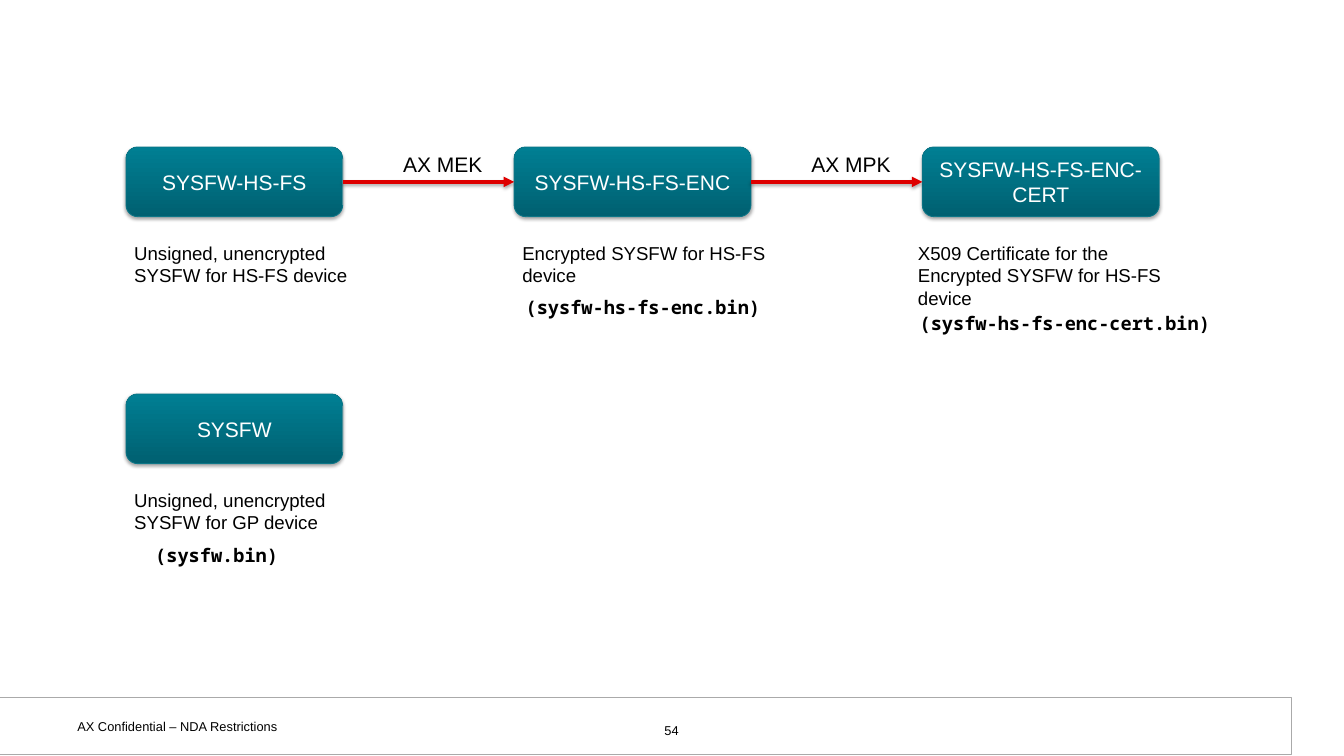
from itertools import pairwise

from pptx import Presentation
from pptx.dml.color import RGBColor
from pptx.enum.shapes import MSO_CONNECTOR, MSO_SHAPE
from pptx.enum.text import MSO_ANCHOR, PP_ALIGN
from pptx.oxml import parse_xml
from pptx.oxml.ns import nsdecls
from pptx.util import Inches, Pt

BLACK = RGBColor(0x00, 0x00, 0x00)
WHITE = RGBColor(0xFF, 0xFF, 0xFF)
TEAL_DARK = RGBColor(0x00, 0x60, 0x71)
TEAL = RGBColor(0x00, 0x7F, 0x93)
TEAL_EDGE = RGBColor(0x0D, 0x76, 0x87)
RED = RGBColor(0xDE, 0x00, 0x00)
GREY = RGBColor(0xAA, 0xAA, 0xAA)

# name, width, caption, caption width, caption shift,
# file name, file shift right, file distance below the stage top
SIGNED_STAGES = [
    ("SYSFW-HS-FS", 2.58, "Unsigned, unencrypted SYSFW for HS-FS device",
     2.83, 0, None, 0, 0),
    ("SYSFW-HS-FS-ENC", 2.82, "Encrypted SYSFW for HS-FS device",
     3.13, 0, "(sysfw-hs-fs-enc.bin)", 0.04, 1.72),
    ("SYSFW-HS-FS-ENC-CERT", 2.82,
     "X509 Certificate for the Encrypted SYSFW for HS-FS device",
     3.13, -0.15, "(sysfw-hs-fs-enc-cert.bin)", -0.13, 1.91),
]
GENERAL_STAGES = [
    ("SYSFW", 2.58, "Unsigned, unencrypted SYSFW for GP device",
     2.83, 0, "(sysfw.bin)", 0.25, 1.73),
]
ROWS = [(1.75, SIGNED_STAGES, ["AX MEK", "AX MPK"]), (4.69, GENERAL_STAGES, [])]
FOOTER = "AX Confidential – NDA Restrictions"
PAGE_NUMBER = "54"

LEFT, GAP, STAGE_HEIGHT = 1.5, 2.04, 0.83
CAPTION_DROP, KEY_SHIFT = 1.08, 0.62

NAME = {"size": Pt(18), "name": "Arial", "color": WHITE}
KEY = {"size": Pt(18), "name": "Arial", "color": BLACK}
CAPTION = {"size": Pt(16), "name": "Arial", "color": BLACK}
FILE = {"size": Pt(16), "name": "Noto Sans Mono", "color": BLACK, "bold": True}
SMALL = {"size": Pt(11), "name": "Arial", "color": BLACK}


def write(box, text, style, align=PP_ALIGN.LEFT, margins=(0.1, 0.05)):
    frame = box.text_frame
    frame.word_wrap = True
    frame.margin_left = frame.margin_right = Inches(margins[0])
    frame.margin_top = frame.margin_bottom = Inches(margins[1])
    para = frame.paragraphs[0]
    para.alignment = align
    span = para.add_run()
    span.text = text
    for key, value in style.items():
        if key == "color":
            span.font.color.rgb = value
        else:
            setattr(span.font, key, value)


def add_text(page, place, text, style, **layout):
    box = page.shapes.add_textbox(*map(Inches, place))
    write(box, text, style, **layout)


def cast_shadow(shape):
    shape._element.spPr.append(parse_xml(
        f'<a:effectLst {nsdecls("a")}>'
        f'<a:outerShdw blurRad="{Pt(3.1)}" dist="{Pt(1.8)}" dir="5400000" rotWithShape="0">'
        '<a:srgbClr val="000000"><a:alpha val="35000"/></a:srgbClr>'
        '</a:outerShdw></a:effectLst>'))


def add_stage(page, left, top, width, name):
    stage = page.shapes.add_shape(
        MSO_SHAPE.ROUNDED_RECTANGLE, *map(Inches, (left, top, width, STAGE_HEIGHT)))
    stage.adjustments[0] = 0.167
    stage.fill.gradient()
    stage.fill.gradient_angle = 90
    for stop, color in zip(stage.fill.gradient_stops, (TEAL_DARK, TEAL)):
        stop.color.rgb = color
    stage.line.color.rgb = TEAL_EDGE
    stage.line.width = Pt(0.75)
    cast_shadow(stage)
    stage.text_frame.vertical_anchor = MSO_ANCHOR.MIDDLE
    write(stage, name, NAME, align=PP_ALIGN.CENTER)
    return stage


def add_arrow(page, source, target):
    arrow = page.shapes.add_connector(MSO_CONNECTOR.STRAIGHT, 0, 0, 0, 0)
    arrow.begin_connect(source, 3)
    arrow.end_connect(target, 1)
    arrow.line.color.rgb = RED
    arrow.line.width = Pt(3)
    arrow.line._get_or_add_ln().append(
        parse_xml(f'<a:tailEnd {nsdecls("a")} type="triangle"/>'))
    cast_shadow(arrow)


def add_row(page, top, stages, keys):
    left, boxes = LEFT, []
    for name, width, caption, caption_width, shift, file, file_shift, file_drop in stages:
        boxes.append(add_stage(page, left, top, width, name))
        add_text(page, (left + shift, top + CAPTION_DROP, caption_width, 0.63),
                 caption, CAPTION)
        if file:
            add_text(page, (left + file_shift, top + file_drop, 3.73, 0.36), file, FILE)
        left += width + GAP
    for key, (source, target) in zip(keys, pairwise(boxes)):
        add_arrow(page, source, target)
        key_left = (source.left + source.width) / Inches(1) + KEY_SHIFT
        add_text(page, (key_left, top, GAP - KEY_SHIFT, 0.4), key, KEY)


def add_footer(page):
    band = page.shapes.add_shape(
        MSO_SHAPE.RECTANGLE, *map(Inches, (-0.03, 8.3, 15.4, 0.68)))
    band.shadow.inherit = False
    band.fill.solid()
    band.fill.fore_color.rgb = WHITE
    band.line.color.rgb = GREY
    band.line.width = Pt(0.75)
    margins = (0.13, 0.07)
    add_text(page, (0.79, 8.48, 3.69, 0.31), FOOTER, SMALL, margins=margins)
    add_text(page, (6.13, 8.53, 3.73, 0.27), PAGE_NUMBER, SMALL,
             align=PP_ALIGN.CENTER, margins=margins)


def main():
    deck = Presentation()
    deck.slide_width, deck.slide_height = Inches(16), Inches(9)
    page = deck.slides.add_slide(deck.slide_layouts[6])
    add_footer(page)
    for top, stages, keys in ROWS:
        add_row(page, top, stages, keys)
    deck.save("out.pptx")


if __name__ == "__main__":
    main()
